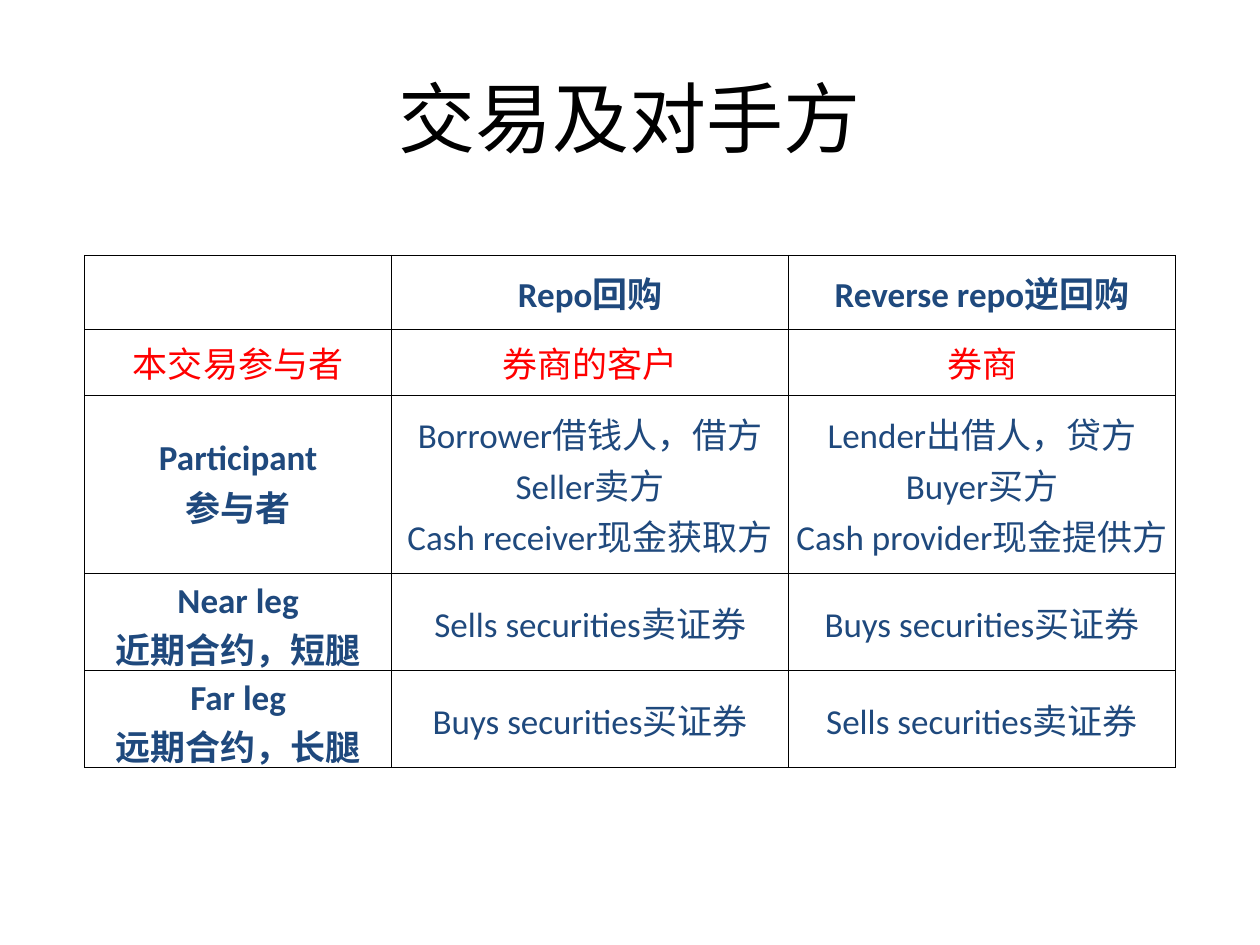
from dataclasses import dataclass

from lxml.etree import SubElement
from pptx import Presentation
from pptx.dml.color import RGBColor
from pptx.enum.text import MSO_ANCHOR, PP_ALIGN
from pptx.oxml.ns import qn
from pptx.util import Inches, Pt


@dataclass(frozen=True)
class Theme:
    black: str = "000000"
    navy: str = "1F497D"
    red: str = "FF0000"
    title_size: int = 44
    table_size: int = 20
    border_width: float = 0.45
    title_font: str = "Arial"
    table_font: str = "Calibri"
    accent_font: str = "Times New Roman"


THEME = Theme()
SLIDE_WIDTH, SLIDE_HEIGHT = 10, 7.5
COLUMN_WIDTHS = [2.44, 3.15, 3.07]
ROW_HEIGHTS = [0.59, 0.52, 1.42, 0.69, 0.69]
HEADER_ROW, ACCENT_ROW = 0, 1
ROWS = [
    ["", "Repo回购", "Reverse repo逆回购"],
    ["本交易参与者", "券商的客户", "券商"],
    [
        "Participant\n参与者",
        "Borrower借钱人，借方\nSeller卖方\nCash receiver现金获取方",
        "Lender出借人，贷方\nBuyer买方\nCash provider现金提供方",
    ],
    ["Near leg\n近期合约，短腿", "Sells securities卖证券", "Buys securities买证券"],
    ["Far leg\n远期合约，长腿", "Buys securities买证券", "Sells securities卖证券"],
]


def write_text(frame, text, font, size, color, bold=False):
    for index, line in enumerate(text.split("\n")):
        para = frame.add_paragraph() if index else frame.paragraphs[0]
        para.alignment = PP_ALIGN.CENTER
        span = para.add_run()
        span.text = line
        span.font.name = font
        span.font.size = Pt(size)
        span.font.bold = bold
        span.font.color.rgb = RGBColor.from_string(color)


def add_title(page, text):
    margin = 0.05 * SLIDE_WIDTH
    box = page.shapes.add_textbox(
        Inches(margin),
        Inches(0.04 * SLIDE_HEIGHT),
        Inches(SLIDE_WIDTH - 2 * margin),
        Inches(SLIDE_HEIGHT / 6),
    )
    frame = box.text_frame
    frame.word_wrap = True
    frame.vertical_anchor = MSO_ANCHOR.MIDDLE
    write_text(frame, text, THEME.title_font, THEME.title_size, THEME.black)


def draw_borders(cell):
    properties = cell._tc.get_or_add_tcPr()
    for side in ("lnL", "lnR", "lnT", "lnB"):
        line = SubElement(properties, qn(f"a:{side}"), w=str(Pt(THEME.border_width)))
        fill = SubElement(line, qn("a:solidFill"))
        SubElement(fill, qn("a:srgbClr"), val=THEME.black)


def style_cell(cell):
    cell.vertical_anchor = MSO_ANCHOR.MIDDLE
    cell.margin_left = cell.margin_right = Inches(0.01)
    cell.margin_top = cell.margin_bottom = Inches(0.05)
    draw_borders(cell)
    cell.fill.background()


def add_comparison_table(page):
    width, height = sum(COLUMN_WIDTHS), sum(ROW_HEIGHTS)
    table = page.shapes.add_table(
        len(ROWS),
        len(COLUMN_WIDTHS),
        Inches((SLIDE_WIDTH - width) / 2),
        Inches(0.27 * SLIDE_HEIGHT),
        Inches(width),
        Inches(height),
    ).table
    table.first_row = table.horz_banding = False
    for column, column_width in zip(table.columns, COLUMN_WIDTHS):
        column.width = Inches(column_width)
    for row, row_height in zip(table.rows, ROW_HEIGHTS):
        row.height = Inches(row_height)

    for row_index, texts in enumerate(ROWS):
        accent = row_index == ACCENT_ROW
        font = THEME.accent_font if accent else THEME.table_font
        color = THEME.red if accent else THEME.navy
        for column_index, text in enumerate(texts):
            cell = table.cell(row_index, column_index)
            style_cell(cell)
            bold = not accent and (row_index == HEADER_ROW or column_index == 0)
            if text:
                write_text(cell.text_frame, text, font, THEME.table_size, color, bold)


def main():
    deck = Presentation()
    deck.slide_width = Inches(SLIDE_WIDTH)
    deck.slide_height = Inches(SLIDE_HEIGHT)
    page = deck.slides.add_slide(deck.slide_layouts[6])
    add_title(page, "交易及对手方")
    add_comparison_table(page)
    deck.save("out.pptx")


if __name__ == "__main__":
    main()
